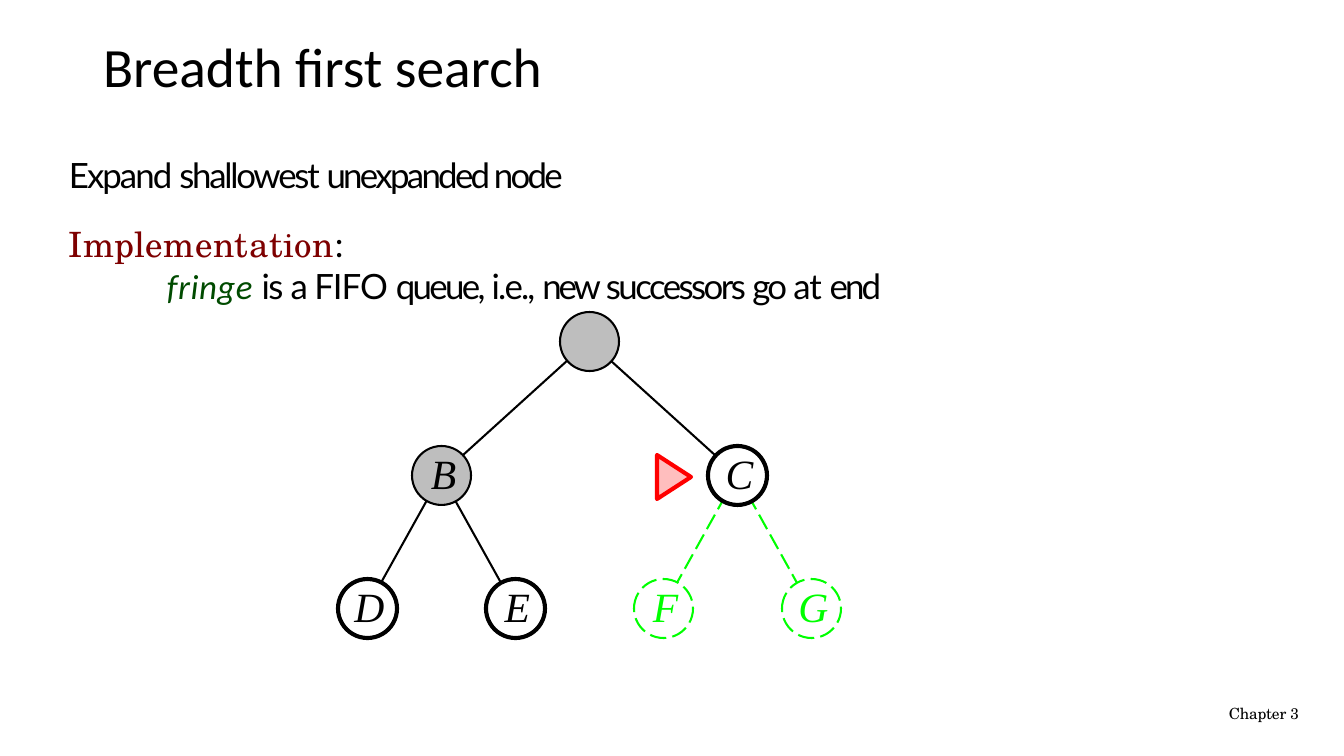
from dataclasses import dataclass
from typing import Optional

from lxml.etree import SubElement
from pptx import Presentation
from pptx.dml.color import RGBColor
from pptx.enum.dml import MSO_LINE
from pptx.enum.shapes import MSO_CONNECTOR, MSO_SHAPE
from pptx.enum.text import MSO_ANCHOR, MSO_AUTO_SIZE, PP_ALIGN
from pptx.oxml.ns import qn
from pptx.util import Emu, Pt

EMU_PER_PX = 914400 / 100.8


@dataclass(frozen=True)
class Theme:
    black: str = "000000"
    white: str = "FFFFFF"
    expanded: str = "BEBEBE"
    future: str = "00FF00"
    pointer: str = "FF0000"
    pointer_fill: str = "FFBEBE"
    keyword: str = "7E0000"
    variable: str = "004B00"
    title_font: str = "Calibri"
    body_font: str = "Lato"
    serif_font: str = "TeX Gyre Schola"
    node_font: str = "Times New Roman"
    title_size: float = 39.6
    body_size: float = 24.9
    node_size: float = 29.7
    footer_size: float = 11
    thin: float = 1.47
    thick: float = 2.94


THEME = Theme()


@dataclass(frozen=True)
class Phrase:
    text: str
    tracking: float
    font: str = THEME.body_font
    color: str = THEME.black
    italic: bool = False


@dataclass(frozen=True)
class Statement:
    indent: int
    space_before: float
    phrases: tuple[Phrase, ...]


@dataclass(frozen=True)
class Node:
    label: str
    x: int
    y: int
    parent: Optional[int] = None  # index in TREE
    fill: str = THEME.white
    color: str = THEME.black
    weight: float = THEME.thick
    dashed: bool = False


STATEMENTS = (
    Statement(2, 1.4, (
        Phrase("Expand ", -1.4),
        Phrase("shallowest ", -1.6),
        Phrase("unexpanded node", -1.9),
    )),
    Statement(2, 18.9, (
        Phrase("Implementation", 0.4, THEME.serif_font, THEME.keyword),
        Phrase(":", 0.4),
    )),
    Statement(100, 0.4, (
        Phrase("fringe ", 0.4, THEME.title_font, THEME.variable, True),
        Phrase("is ", -1.2),
        Phrase("a ", -1.8),
        Phrase("FIFO ", -0.7),
        Phrase("queue, ", -1.9),
        Phrase("i.e., ", -1.3),
        Phrase("new ", -2.3),
        Phrase("successors ", -1.8),
        Phrase("go ", -1.9),
        Phrase("at ", -0.8),
        Phrase("end", -2),
    )),
)

NODE_SIZE = 59
ROOT_Y, MIDDLE_Y, LEAF_Y = 341, 475, 608
ROOT_X, BRANCH, TWIG = 589, 148, 74
LEFT_X, RIGHT_X = ROOT_X - BRANCH, ROOT_X + BRANCH
EXPANDED = {"fill": THEME.expanded, "weight": THEME.thin}
FUTURE = {"color": THEME.future, "weight": THEME.thin, "dashed": True}
TREE = (
    Node("", ROOT_X, ROOT_Y, **EXPANDED),
    Node("B", LEFT_X, MIDDLE_Y, 0, **EXPANDED),
    Node("C", RIGHT_X, MIDDLE_Y, 0),
    Node("D", LEFT_X - TWIG, LEAF_Y, 1),
    Node("E", LEFT_X + TWIG, LEAF_Y, 1),
    Node("F", RIGHT_X - TWIG, LEAF_Y, 2, **FUTURE),
    Node("G", RIGHT_X + TWIG, LEAF_Y, 2, **FUTURE),
)


def px(length: int) -> Emu:
    return Emu(round(length * EMU_PER_PX))


def place(shape, left: int, top: int, width: int, height: int) -> None:
    shape.left, shape.top = px(left), px(top)
    shape.width, shape.height = px(width), px(height)


def set_insets(frame, left: int = 0, top: int = 0, right: int = 0, bottom: int = 0) -> None:
    frame.margin_left, frame.margin_top = px(left), px(top)
    frame.margin_right, frame.margin_bottom = px(right), px(bottom)


def write(paragraph, text: str, *, font: str, size: float, color: str = THEME.black,
          italic: bool = False, tracking: float = 0) -> None:
    run = paragraph.add_run()
    run.text = text
    run.font.name, run.font.size = font, Pt(size)
    run.font.italic = italic
    run.font.color.rgb = RGBColor.from_string(color)
    run.font._element.set("spc", str(round(tracking * 100)))


def outline(line, color: str, weight: float, dashed: bool = False) -> None:
    line.color.rgb = RGBColor.from_string(color)
    line.width = Pt(weight)
    if dashed:
        line.dash_style = MSO_LINE.LONG_DASH


def paint(shape, fill: str) -> None:
    shape.shadow.inherit = False
    shape.fill.solid()
    shape.fill.fore_color.rgb = RGBColor.from_string(fill)


def fill_title(title) -> None:
    place(title, 93, 40, 1134, 60)
    title.text_frame.auto_size = MSO_AUTO_SIZE.NONE
    title.text_frame.vertical_anchor = MSO_ANCHOR.MIDDLE
    heading = title.text_frame.paragraphs[0]
    heading.alignment = PP_ALIGN.LEFT
    heading.line_spacing = 0.9
    write(heading, "Breadth first search", font=THEME.title_font, size=THEME.title_size)


def fill_body(body) -> None:
    place(body, 67, 152, 843, 158)
    frame = body.text_frame
    frame.auto_size = MSO_AUTO_SIZE.NONE
    frame.vertical_anchor = MSO_ANCHOR.TOP
    set_insets(frame, top=2)
    for index, statement in enumerate(STATEMENTS):
        paragraph = frame.add_paragraph() if index else frame.paragraphs[0]
        paragraph.space_before = Pt(statement.space_before)
        properties = paragraph._p.get_or_add_pPr()
        properties.set("marL", str(px(statement.indent)))
        properties.set("indent", "0")
        SubElement(properties, qn("a:buNone"))
        for phrase in statement.phrases:
            write(paragraph, phrase.text, font=phrase.font, size=THEME.body_size,
                  color=phrase.color, italic=phrase.italic, tracking=phrase.tracking)


def draw_edge(shapes, parent: Node, child: Node) -> None:
    edge = shapes.add_connector(MSO_CONNECTOR.STRAIGHT, px(parent.x), px(parent.y),
                                px(child.x), px(child.y))
    outline(edge.line, child.color, THEME.thin, child.dashed)
    SubElement(edge._element.spPr, qn("a:effectLst"))


def draw_node(shapes, node: Node) -> None:
    circle = shapes.add_shape(MSO_SHAPE.OVAL, 0, 0, 0, 0)
    place(circle, node.x - NODE_SIZE // 2, node.y - NODE_SIZE // 2, NODE_SIZE, NODE_SIZE)
    paint(circle, node.fill)
    outline(circle.line, node.color, node.weight, node.dashed)
    if node.label:
        frame = circle.text_frame
        frame.word_wrap = False
        frame.vertical_anchor = MSO_ANCHOR.MIDDLE
        set_insets(frame, left=4, bottom=5)
        frame.paragraphs[0].alignment = PP_ALIGN.CENTER
        write(frame.paragraphs[0], node.label, font=THEME.node_font, size=THEME.node_size,
              color=node.color, italic=True, tracking=0.1)


def draw_pointer(shapes) -> None:
    """Mark the node that is expanded next."""
    builder = shapes.build_freeform(657, 455, scale=EMU_PER_PX)
    builder.add_line_segments([(691, 477), (657, 499)], close=True)
    pointer = builder.convert_to_shape()
    paint(pointer, THEME.pointer_fill)
    outline(pointer.line, THEME.pointer, THEME.thick)


def draw_footer(shapes) -> None:
    footer = shapes.add_textbox(px(1227), px(708), px(76), px(14))
    footer.text_frame.word_wrap = True
    set_insets(footer.text_frame, left=2)
    chapter = footer.text_frame.paragraphs[0]
    chapter.line_spacing = Pt(10.4)
    write(chapter, "Chapter 3", font=THEME.serif_font, size=THEME.footer_size, tracking=-0.1)


def main() -> None:
    deck = Presentation()
    deck.slide_width, deck.slide_height = px(1344), px(756)
    slide = deck.slides.add_slide(deck.slide_layouts[1])
    fill_title(slide.shapes.title)
    fill_body(slide.placeholders[1])
    for node in TREE:
        if node.parent is not None:
            draw_edge(slide.shapes, TREE[node.parent], node)
    for node in TREE:
        draw_node(slide.shapes, node)
    draw_pointer(slide.shapes)
    draw_footer(slide.shapes)
    deck.save("out.pptx")


if __name__ == "__main__":
    main()
